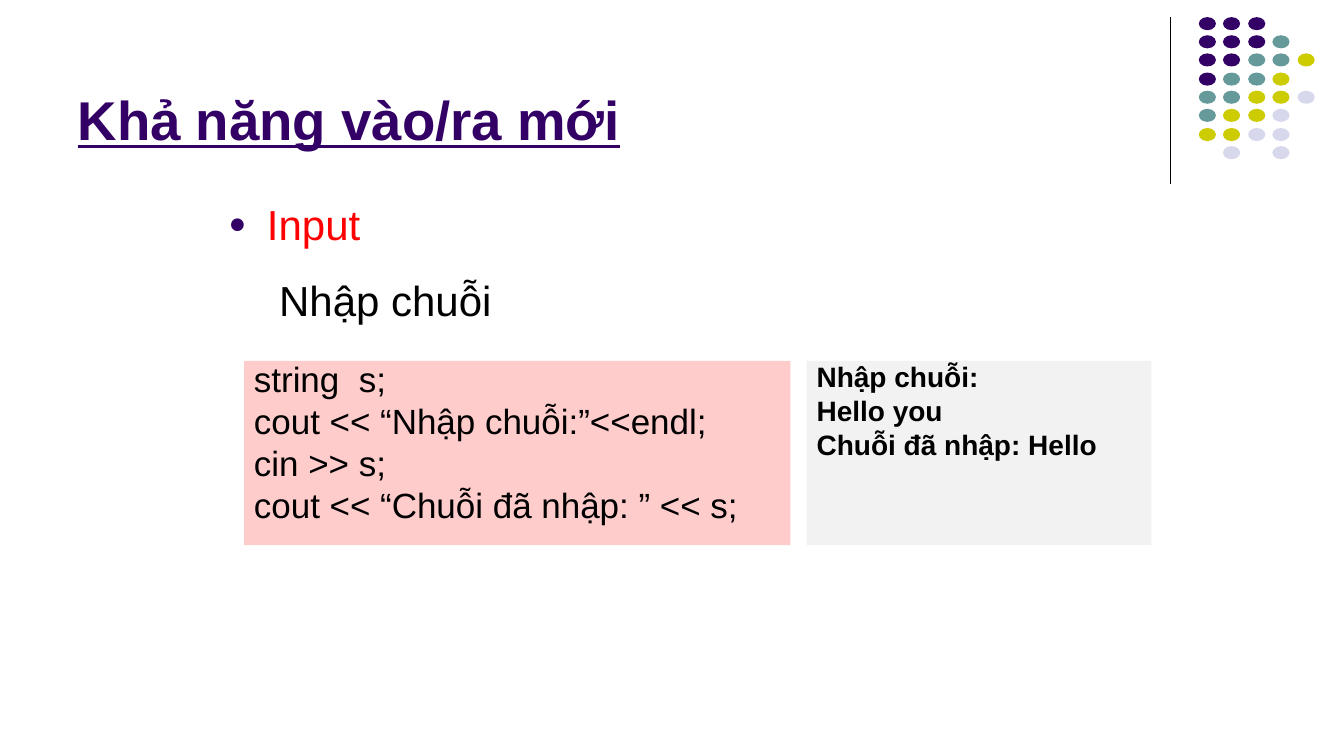
"""Build the slide on reading a string with cin."""
from lxml import etree
from pptx import Presentation
from pptx import util as u
from pptx.dml.color import RGBColor
from pptx.enum import shapes, text
from pptx.oxml import ns

NAVY = RGBColor(0x33, 0x00, 0x66)
TEAL = RGBColor(0x66, 0x99, 0x99)
LIME = RGBColor(0xCC, 0xCC, 0x00)
PALE = RGBColor(0xD8, 0xD8, 0xEC)
RED = RGBColor(0xFF, 0x00, 0x00)
BLACK = RGBColor(0x00, 0x00, 0x00)
PINK = RGBColor(0xFF, 0xCC, 0xCC)
GREY = RGBColor(0xF2, 0xF2, 0xF2)
SCALE = 9144


def px(*nums):
    return [n * SCALE for n in nums]


def write(box, lines, color, look, gap=0, lead=1.0, dent=38):
    frame = box.text_frame
    frame.word_wrap = True
    frame.auto_size = text.MSO_AUTO_SIZE.NONE
    frame.text = "\n".join(lines)
    for i, para in enumerate(frame.paragraphs):
        para.alignment = text.PP_ALIGN.LEFT
        para.line_spacing = lead
        para.space_before = u.Pt(gap if i else 0)
        props = para._p.get_or_add_pPr()
        props.set("marL", str(dent * SCALE))
        props.set("indent", str(-dent * SCALE))
        font = para.runs[0].font
        font.name = "Arial"
        font.color.rgb = color
        for key, val in look.items():
            setattr(font, key, val)


deck = Presentation()
deck.slide_width, deck.slide_height = px(1333, 750)
slide = deck.slides.add_slide(deck.slide_layouts[5])
items = slide.shapes

rule = items.add_connector(shapes.MSO_CONNECTOR.STRAIGHT, *px(1161, 17, 1161, 183))
rule.line.color.rgb = BLACK
rule.line.width = u.Pt(0.75)
etree.SubElement(rule._element.spPr, ns.qn("a:effectLst"))

tints = {"N": NAVY, "T": TEAL, "L": LIME, "P": PALE}
rows = ["NNN", "NNNT", "NNTTL", "NTTL", "TTLLP", "TLLP", "LLPP", " P P"]
dots = items.add_group_shape()
for r, row in enumerate(rows):
    for c, code in enumerate(row):
        if code in tints:
            spot = px(1189 + 49 * c // 2, 17 + 55 * r // 3, 17, 13)
            dot = dots.shapes.add_shape(shapes.MSO_SHAPE.OVAL, *spot)
            dot.shadow.inherit = False
            dot.fill.solid()
            dot.fill.fore_color.rgb = tints[code]
            dot.line.fill.background()

title = items.title
title.left, title.top, title.width, title.height = px(67, 13, 1100, 142)
write(title, ["Khả năng vào/ra mới"], NAVY,
      {"size": u.Pt(39), "bold": True, "underline": True}, dent=0)
title.text_frame.vertical_anchor = text.MSO_ANCHOR.BOTTOM

body = items.add_textbox(*px(217, 192, 900, 482))
write(body, ["Input"], RED, {"size": u.Pt(30)})
props = body.text_frame.paragraphs[0]._p.get_or_add_pPr()
tint = etree.SubElement(props, ns.qn("a:buClr"))
etree.SubElement(tint, ns.qn("a:srgbClr"), val=str(NAVY))
etree.SubElement(props, ns.qn("a:buSzPct"), val="70000")
etree.SubElement(props, ns.qn("a:buFont"), typeface="Arial")
etree.SubElement(props, ns.qn("a:buChar"), char="●")

label = items.add_textbox(*px(267, 267, 900, 75))
write(label, ["Nhập chuỗi"], BLACK, {"size": u.Pt(30)})

source = ["string  s;", "cout << “Nhập chuỗi:”<<endl;", "cin >> s;",
          "cout << “Chuỗi đã nhập: ” << s;"]
result = ["Nhập chuỗi:", "Hello you", "Chuỗi đã nhập: Hello"]
panels = [
    (242, 542, PINK, source, {"size": u.Pt(25)}, 6),
    (800, 342, GREY, result, {"size": u.Pt(20), "bold": True}, 5),
]
for left, width, fill, lines, look, gap in panels:
    panel = items.add_shape(shapes.MSO_SHAPE.RECTANGLE, *px(left, 358, width, 183))
    panel.shadow.inherit = False
    panel.fill.solid()
    panel.fill.fore_color.rgb = fill
    panel.line.fill.background()
    write(panel, lines, BLACK, look, gap, lead=0.8)
    panel.text_frame.vertical_anchor = text.MSO_ANCHOR.TOP

deck.save("out.pptx")
